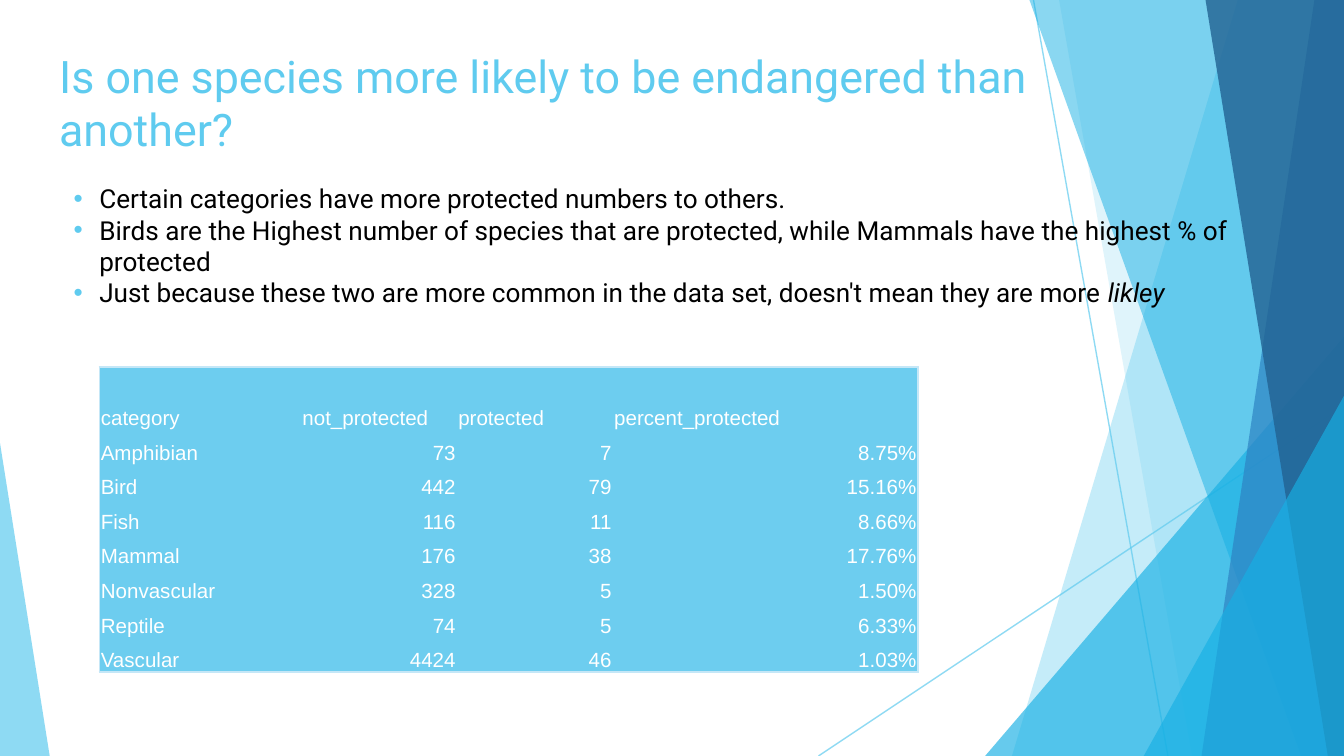
from dataclasses import dataclass

from lxml import etree
from pptx import Presentation
from pptx.dml.color import RGBColor
from pptx.enum.shapes import MSO_CONNECTOR, MSO_SHAPE
from pptx.enum.text import MSO_ANCHOR, MSO_AUTO_SIZE, PP_ALIGN
from pptx.oxml.ns import qn
from pptx.util import Inches, Pt

LINE = MSO_CONNECTOR.STRAIGHT
WEDGE = MSO_SHAPE.ISOSCELES_TRIANGLE
TOP, BOTTOM = MSO_ANCHOR.TOP, MSO_ANCHOR.BOTTOM
LEFT, RIGHT = PP_ALIGN.LEFT, PP_ALIGN.RIGHT
TITLE_ONLY = 5


@dataclass(frozen=True)
class Theme:
    sky: str = "5FCBEF"
    cyan: str = "17B0E4"
    blue: str = "2E83C3"
    navy: str = "226292"
    cell: str = "6DCDEF"
    edge: str = "C5E7F7"
    ink: str = "000000"
    white: str = "FFFFFF"
    font: str = "Roboto"
    grid_font: str = "Arial"
    title: int = 24
    body: int = 14
    grid: int = 11


@dataclass(frozen=True)
class Box:
    x: float
    y: float
    w: float
    h: float

    def emu(self):
        return [Inches(v) for v in (self.x, self.y, self.w, self.h)]


THEME = Theme()
PAGE = Box(0, 0, 10, 10 * 9 / 16)

TITLE = "Is one species more likely to be endangered than another?"
POINTS = [
    [("Certain categories have more protected numbers to others.", False)],
    [("Birds are the Highest number of species that are protected, "
      "while Mammals have the highest % of protected", False)],
    [("Just because these two are more common in the data set, "
      "doesn't mean they are more ", False), ("likley", True)],
]
ROWS = [
    ("category", "not_protected", "protected", "percent_protected"),
    ("Amphibian", "73", "7", "8.75%"),
    ("Bird", "442", "79", "15.16%"),
    ("Fish", "116", "11", "8.66%"),
    ("Mammal", "176", "38", "17.76%"),
    ("Nonvascular", "328", "5", "1.50%"),
    ("Reptile", "74", "5", "6.33%"),
    ("Vascular", "4424", "46", "1.03%"),
]
COLS = (1.5, 1.16, 1.16, 2.27)
HEAD = 0.47


def add_run(para, text, font, size, color, italic=False):
    run = para.add_run()
    run.text = text
    run.font.name, run.font.size = font, Pt(size)
    run.font.color.rgb = RGBColor.from_string(color)
    run.font.italic = italic


def set_alpha(shape, pct):
    for color in shape.element.spPr.iter(qn("a:srgbClr")):
        etree.SubElement(color, qn("a:alpha"), val=str(pct * 1000))


def paint(shape, color, pct):
    shape.shadow.inherit = False
    shape.line.fill.background()
    shape.fill.solid()
    shape.fill.fore_color.rgb = RGBColor.from_string(color)
    set_alpha(shape, pct)


def add_ray(slide, x1, y1, x2, y2):
    ray = slide.shapes.add_connector(LINE, *map(Inches, (x1, y1, x2, y2)))
    ray.line.width = Pt(0.75)
    ray.line.color.rgb = RGBColor.from_string(THEME.sky)
    set_alpha(ray, 70)
    etree.SubElement(ray.element.spPr, qn("a:effectLst"))


def add_band(slide, box, top, foot, color, pct):
    """Fill from a slanted left edge to the right side of the box."""
    end, low = box.x + box.w, box.y + box.h
    dots = [(end, box.y), (end, low), (box.x + foot, low)]
    pen = slide.shapes.build_freeform(
        Inches(box.x + top), Inches(box.y), scale=1.0)
    pen.add_line_segments([(Inches(x), Inches(y)) for x, y in dots])
    paint(pen.convert_to_shape(), color, pct)


def add_wedge(slide, box, x, w, h, peak, color, pct):
    spot = Box(box.x + x, box.y + box.h - h, w, h)
    wedge = slide.shapes.add_shape(WEDGE, *spot.emu())
    wedge.adjustments[0] = peak
    paint(wedge, color, pct)


def add_facets(slide, box):
    end, low = box.x + box.w, box.y + box.h
    add_ray(slide, box.x + 7.69, box.y, box.x + 8.69, low)
    add_ray(slide, end, box.y + 3.02, box.x + 6.09, low)
    add_band(slide, box, 9.21, 7.53, THEME.sky, 36)
    add_band(slide, box, 7.88, 8.87, THEME.sky, 20)
    add_wedge(slide, box, 7.33, 2.67, 3.12, 1, THEME.cyan, 66)
    add_band(slide, box, 7.66, 9.68, THEME.cyan, 50)
    add_band(slide, box, 9.78, 8.94, THEME.blue, 70)
    add_band(slide, box, 8.97, 9.88, THEME.navy, 80)
    add_wedge(slide, box, 8.51, 1.49, 2.68, 1, THEME.cyan, 66)
    add_wedge(slide, box, 0, 0.37, 2.33, 0, THEME.sky, 70)


def set_frame(frame):
    frame.word_wrap = True
    frame.auto_size = MSO_AUTO_SIZE.NONE
    frame.vertical_anchor = TOP
    frame.margin_left = frame.margin_right = Inches(0.1)
    frame.margin_top = frame.margin_bottom = Inches(0.1)


def set_title(slide, box):
    title = slide.shapes.title
    title.left, title.top, title.width, title.height = box.emu()
    set_frame(title.text_frame)
    para = title.text_frame.paragraphs[0]
    para.alignment = LEFT
    add_run(para, TITLE, THEME.font, THEME.title, THEME.sky)


def set_bullet(para):
    props = para._p.get_or_add_pPr()
    props.set("marL", str(Inches(0.3)))
    props.set("indent", str(Inches(-0.19)))
    tint = etree.SubElement(props, qn("a:buClr"))
    etree.SubElement(tint, qn("a:srgbClr"), val=THEME.sky)
    etree.SubElement(props, qn("a:buFont"), typeface="Arial")
    etree.SubElement(props, qn("a:buChar"), char="•")


def add_points(slide, box):
    frame = slide.shapes.add_textbox(*box.emu()).text_frame
    set_frame(frame)
    for i, parts in enumerate(POINTS):
        para = frame.add_paragraph() if i else frame.paragraphs[0]
        set_bullet(para)
        for text, italic in parts:
            add_run(para, text, THEME.font, THEME.body, THEME.ink, italic)


def set_edges(cell, shown):
    """Draw the sides named in shown and clear the others."""
    props = cell._tc.get_or_add_tcPr()
    for side in "LRTB":
        line = etree.SubElement(props, qn(f"a:ln{side}"), w=str(Pt(1)))
        if side in shown:
            fill = etree.SubElement(line, qn("a:solidFill"))
            etree.SubElement(fill, qn("a:srgbClr"), val=THEME.edge)
        else:
            etree.SubElement(line, qn("a:noFill"))


def add_grid(slide, box):
    last_row, last_col = len(ROWS) - 1, len(COLS) - 1
    grid = slide.shapes.add_table(len(ROWS), len(COLS), *box.emu()).table
    grid.horz_banding = grid.first_row = False
    for col, width in zip(grid.columns, COLS):
        col.width = Inches(width)
    for r, texts in enumerate(ROWS):
        grid.rows[r].height = Inches((box.h - HEAD) / last_row if r else HEAD)
        for c, text in enumerate(texts):
            cell = grid.cell(r, c)
            sides = {"L": c == 0, "R": c == last_col,
                     "T": r == 0, "B": r == last_row}
            set_edges(cell, [s for s, on in sides.items() if on])
            cell.fill.solid()
            cell.fill.fore_color.rgb = RGBColor.from_string(THEME.cell)
            cell.vertical_anchor = BOTTOM
            cell.margin_left = cell.margin_right = Inches(0.01)
            cell.margin_top, cell.margin_bottom = Inches(0.01), 0
            para = cell.text_frame.paragraphs[0]
            para.alignment = RIGHT if r and c else LEFT
            add_run(para, text, THEME.grid_font, THEME.grid, THEME.white)


def main():
    deck = Presentation()
    deck.slide_width, deck.slide_height = Inches(PAGE.w), Inches(PAGE.h)
    slide = deck.slides.add_slide(deck.slide_layouts[TITLE_ONLY])
    add_facets(slide, PAGE)
    # The title stands above the facets.
    slide.shapes.title.element.getparent().append(slide.shapes.title.element)
    set_title(slide, Box(0.34, 0.26, 7.4, 0.85))
    add_points(slide, Box(0.34, 1.26, 9.32, 3.74))
    add_grid(slide, Box(0.74, 2.73, sum(COLS), 2.27))
    deck.save("out.pptx")


if __name__ == "__main__":
    main()
